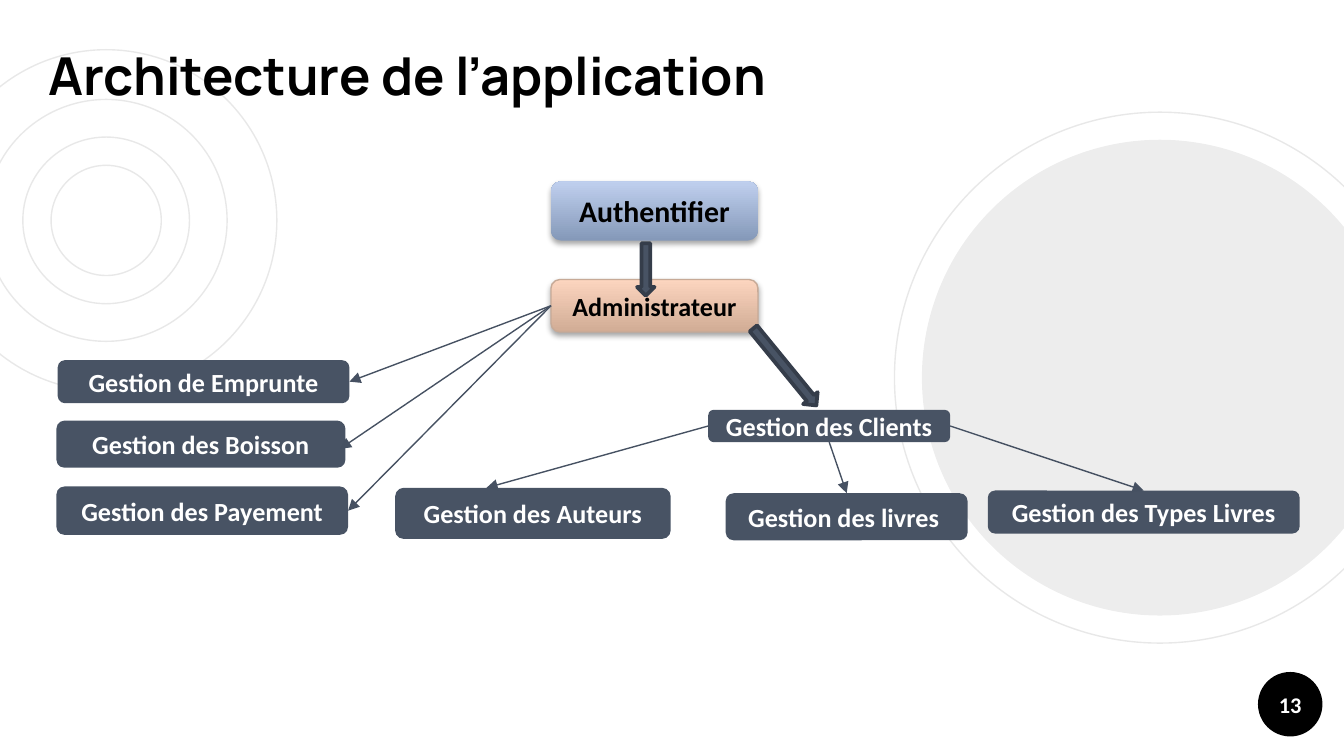
from lxml import etree
from pptx import Presentation
from pptx import util as u
from pptx.dml import color
from pptx.enum import shapes, text
from pptx.oxml import ns

HUES = {
    "black": "000000", "white": "FFFFFF", "ring": "E8E8E8",
    "slate": "485364", "edge": "353D4A", "link": "465162",
    "blue_low": "8599B9", "blue_top": "BFCFEE",
    "peach_low": "D1AC95", "peach_top": "FCD5BF", "peach_edge": "C7AA97",
}
KIND = shapes.MSO_SHAPE


def rgb(name):
    return color.RGBColor.from_string(HUES[name])


def add_child(node, tag, **attrs):
    return etree.SubElement(node, ns.qn(tag), {k: str(v) for k, v in attrs.items()})


def add_form(slide, kind, box, fill=None, line=None, width=0.75):
    form = slide.shapes.add_shape(kind, *[u.Inches(v) for v in box])
    form.shadow.inherit = False
    if fill:
        form.fill.solid()
        form.fill.fore_color.rgb = rgb(fill)
    else:
        form.fill.background()
    if line:
        form.line.color.rgb = rgb(line)
        form.line.width = u.Pt(width)
    else:
        form.line.fill.background()
    return form


def set_text(form, words, size, hue, font="Calibri"):
    frame = form.text_frame
    frame.text = words
    run = frame.paragraphs[0].runs[0].font
    run.name, run.size, run.bold = font, u.Pt(size), True
    run.color.rgb = rgb(hue)
    return frame


def add_label(form, words, size, hue, wrap=True):
    frame = set_text(form, words, size, hue)
    frame.word_wrap = wrap
    frame.vertical_anchor = text.MSO_ANCHOR.MIDDLE
    frame.paragraphs[0].alignment = text.PP_ALIGN.CENTER


def add_circle(slide, mid_x, mid_y, size, fill=None, line=None):
    box = (mid_x - size / 2, mid_y - size / 2, size, size)
    return add_form(slide, KIND.OVAL, box, fill, line)


def add_role(slide, words, box, size, low, top, line=None):
    form = add_form(slide, KIND.ROUNDED_RECTANGLE, box, line=line)
    form.fill.gradient()
    form.fill.gradient_angle = 90
    for stop, hue in zip(form.fill.gradient_stops, (low, top)):
        stop.color.rgb = rgb(hue)
    effects = form._element.spPr.find(ns.qn("a:effectLst"))
    shade = add_child(effects, "a:outerShdw", blurRad=u.Pt(3.1), dist=u.Pt(1.8),
                      dir=5400000, rotWithShape=0)
    tone = add_child(shade, "a:srgbClr", val=HUES["black"])
    add_child(tone, "a:alpha", val=35000)
    add_label(form, words, size, "black")
    return form


def add_task(slide, words, box):
    form = add_form(slide, KIND.ROUNDED_RECTANGLE, box, "slate")
    add_label(form, words, 14, "white")
    return form


def add_arrow(slide, kind, box, turn):
    form = add_form(slide, kind, box, "slate", "edge", 2)
    form.rotation = turn


def add_link(slide, start, side, end=None, site=None, spot=(0, 0)):
    x, y = [u.Inches(v) for v in spot]
    link = slide.shapes.add_connector(shapes.MSO_CONNECTOR.STRAIGHT, x, y, x, y)
    link.begin_connect(start, side)
    if end is not None:
        link.end_connect(end, site)
    link.line.color.rgb = rgb("link")
    link.line.width = u.Pt(0.75)
    add_child(link.line._get_or_add_ln(), "a:tailEnd", type="triangle")
    add_child(link._element.spPr, "a:effectLst")


def add_decor(slide):
    add_circle(slide, 8.63, 2.81, 3.95, line="ring")
    for size in (2.54, 1.8, 1.24, 0.82):
        add_circle(slide, 0.79, 1.64, size, line="ring")
    disc = add_circle(slide, 8.63, 2.81, 3.54, "black")
    tone = disc.fill._xPr.find(ns.qn("a:solidFill"))[0]
    add_child(tone, "a:alpha", val=7000)
    badge = add_circle(slide, 9.6, 5.24, 0.48, "black")
    add_label(badge, "13", 12, "white", wrap=False)


def add_title(slide, words):
    title = slide.shapes.title
    slide.shapes._spTree.append(title._element)
    title.left, title.top = u.Inches(0.26), u.Inches(0.23)
    title.width, title.height = u.Inches(8.31), u.Inches(0.66)
    frame = set_text(title, words, 28, "black", "Manrope")
    frame.margin_left = frame.margin_right = u.Inches(0.1)
    frame.margin_top = frame.margin_bottom = u.Inches(0.1)
    frame.vertical_anchor = text.MSO_ANCHOR.BOTTOM
    frame.paragraphs[0].alignment = text.PP_ALIGN.LEFT


def add_tree(slide):
    add_role(slide, "Authentifier", (4.1, 1.35, 1.54, 0.44), 16,
             "blue_low", "blue_top")
    admin = add_role(slide, "Administrateur", (4.1, 2.08, 1.54, 0.39), 14,
                     "peach_low", "peach_top", "peach_edge")
    clients = add_task(slide, "Gestion des Clients", (5.27, 3.05, 1.8, 0.24))
    add_task(slide, "Gestion des Auteurs", (2.94, 3.63, 2.05, 0.38))
    add_task(slide, "Gestion des Boisson", (0.42, 3.13, 2.15, 0.35))
    pay = add_task(slide, "Gestion des Payement", (0.42, 3.62, 2.17, 0.36))
    books = add_task(slide, "Gestion des livres ", (5.4, 3.67, 1.8, 0.35))
    types = add_task(slide, "Gestion des Types Livres", (7.35, 3.65, 2.32, 0.32))
    loans = add_task(slide, "Gestion de Emprunte", (0.43, 2.68, 2.17, 0.32))

    add_arrow(slide, KIND.RIGHT_ARROW, (4.61, 1.94, 0.39, 0.13), 90)
    add_arrow(slide, KIND.DOWN_ARROW, (5.77, 2.36, 0.14, 0.74), 320.7)

    add_link(slide, clients, 1, spot=(3.62, 3.63))
    add_link(slide, clients, 3, types, 0)
    add_link(slide, clients, 2, books, 0)
    add_link(slide, admin, 1, spot=(2.53, 3.34))
    for task in (pay, loans):
        add_link(slide, admin, 1, task, 3)


def main():
    deck = Presentation()
    deck.slide_width = u.Inches(10)
    deck.slide_height = deck.slide_width * 9 // 16
    slide = deck.slides.add_slide(deck.slide_layouts[5])
    add_decor(slide)
    add_title(slide, "Architecture de l’application")
    add_tree(slide)
    deck.save("out.pptx")


if __name__ == "__main__":
    main()
